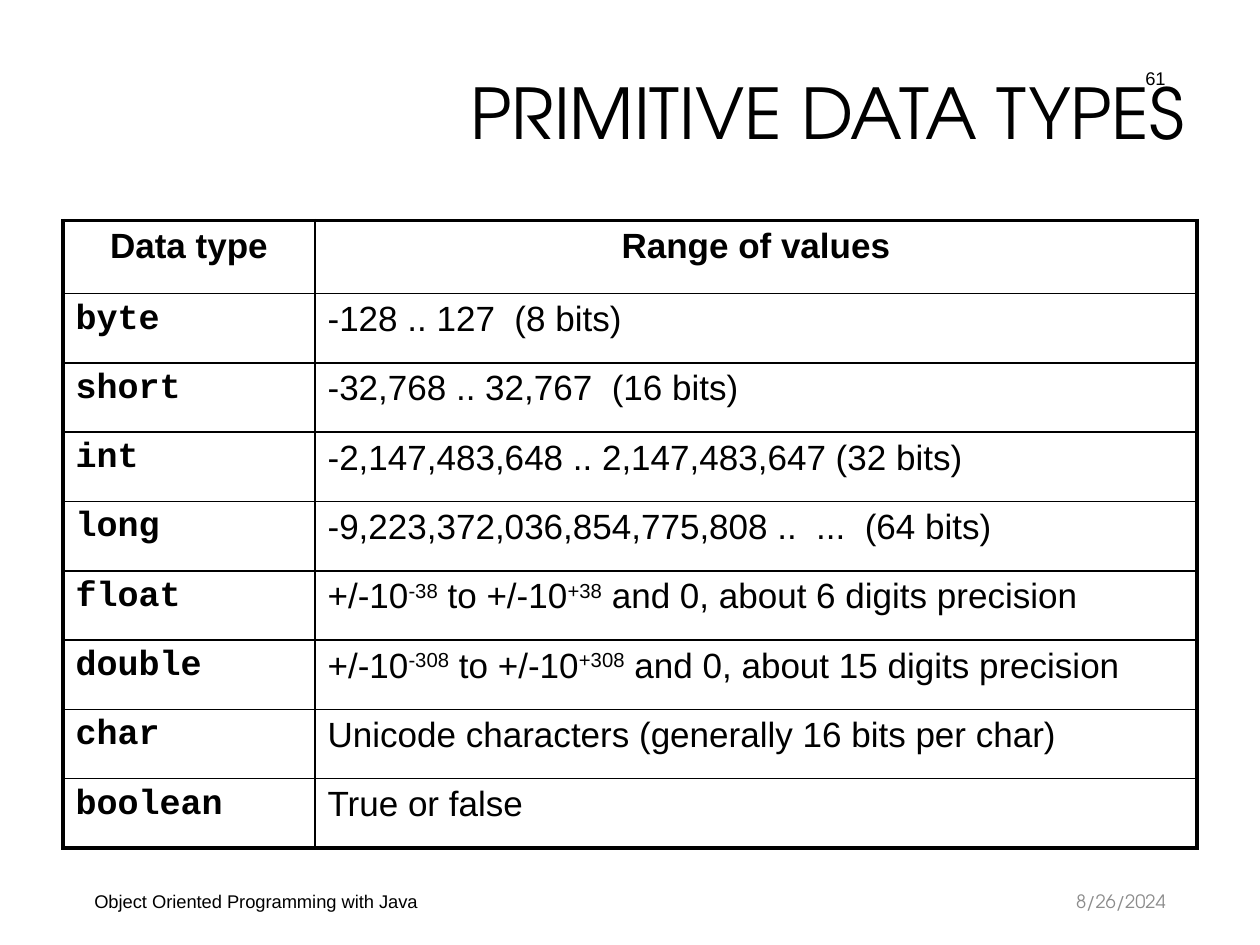
from dataclasses import dataclass

from lxml.etree import SubElement
from pptx import Presentation
from pptx.dml.color import RGBColor
from pptx.enum.text import MSO_ANCHOR as Anchor, MSO_AUTO_SIZE as AutoSize, PP_ALIGN as Align
from pptx.oxml.ns import qn
from pptx.util import Inches, Pt

WIDTH, HEIGHT = Inches(10), Inches(7.5)
COLORS = {"ink": "000000", "muted": "8C8C8C"}
SANS, MONO, DISPLAY = "Arial", "Courier New", "TeX Gyre Adventor"
COLUMN_WIDTHS = (0.2, 0.7)  # shares of the slide width
HEADER_HEIGHT, ROW_HEIGHT = Inches(0.58), Inches(0.55)
OUTER_LINE, INNER_LINE = Pt(2.25), Pt(1)


@dataclass(frozen=True)
class Area:
    """A rectangle in shares of the slide's width and height."""
    left: float
    top: float
    width: float
    height: float

    def box(self) -> tuple[int, int, int, int]:
        return (round(self.left * WIDTH), round(self.top * HEIGHT),
                round(self.width * WIDTH), round(self.height * HEIGHT))


@dataclass(frozen=True)
class Label:
    text: str
    area: Area
    align: Align = Align.RIGHT
    font: str = SANS
    color: str = "ink"


@dataclass(frozen=True)
class DataType:
    name: str
    values: str  # text between carets is superscript


DATA_TYPES = (
    DataType("byte", "-128 .. 127  (8 bits)"),
    DataType("short", "-32,768 .. 32,767  (16 bits)"),
    DataType("int", "-2,147,483,648 .. 2,147,483,647 (32 bits)"),
    DataType("long", "-9,223,372,036,854,775,808 ..  ...  (64 bits)"),
    DataType("float", "+/-10^-38^ to +/-10^+38^ and 0, about 6 digits precision"),
    DataType("double", "+/-10^-308^ to +/-10^+308^ and 0, about 15 digits precision"),
    DataType("char", "Unicode characters (generally 16 bits per char)"),
    DataType("boolean", "True or false"),
)
LABELS = (
    Label("Object Oriented Programming with Java", Area(0.065, 0.927, 0.621, 0.053), Align.LEFT),
    Label("61", Area(0.719, 0.056, 0.216, 0.053)),
    Label("8/26/2024", Area(0.701, 0.927, 0.234, 0.053), font=DISPLAY, color="muted"),
)


def write(frame, text: str, *, size: float, font: str = SANS, color: str = "ink",
          bold: bool = False, align: Align = Align.LEFT, spacing: float = 1.0) -> None:
    """Fill a text frame, raising the parts between carets."""
    paragraph = frame.paragraphs[0]
    paragraph.alignment = align
    paragraph.line_spacing = spacing
    for index, part in enumerate(text.split("^")):
        run = paragraph.add_run()
        run.text = part
        run.font.size, run.font.name, run.font.bold = Pt(size), font, bold
        run.font.color.rgb = RGBColor.from_string(COLORS[color])
        if index % 2:
            run.font._element.set("baseline", "30000")


def set_borders(cell, widths: dict[str, int]) -> None:
    properties = cell._tc.get_or_add_tcPr()
    for position, (side, width) in enumerate(widths.items()):
        line = SubElement(properties, qn(f"a:ln{side}"), w=str(int(width)))
        fill = SubElement(line, qn("a:solidFill"))
        SubElement(fill, qn("a:srgbClr"), val=COLORS["ink"])
        properties.insert(position, line)


def add_type_table(slide) -> None:
    rows = [("Data type", "Range of values")] + [(item.name, item.values) for item in DATA_TYPES]
    last_row, last_column = len(rows) - 1, len(COLUMN_WIDTHS) - 1
    height = HEADER_HEIGHT + last_row * ROW_HEIGHT
    area = Area(0.05, 1.75 / 7.5, sum(COLUMN_WIDTHS), height / HEIGHT)
    table = slide.shapes.add_table(len(rows), len(COLUMN_WIDTHS), *area.box()).table
    table.first_row = table.horz_banding = False
    for column, share in zip(table.columns, COLUMN_WIDTHS):
        column.width = round(share * WIDTH)
    for i, texts in enumerate(rows):
        header = i == 0
        table.rows[i].height = HEADER_HEIGHT if header else ROW_HEIGHT
        for j, text in enumerate(texts):
            cell = table.cell(i, j)
            cell.fill.background()
            edges = {"L": j == 0, "R": j == last_column, "T": header, "B": i == last_row}
            set_borders(cell, {side: OUTER_LINE if outer else INNER_LINE
                               for side, outer in edges.items()})
            write(cell.text_frame, text, size=20, bold=header or j == 0,
                  font=MONO if j == 0 and not header else SANS,
                  align=Align.CENTER if header else Align.JUSTIFY)


def add_label(slide, label: Label) -> None:
    frame = slide.shapes.add_textbox(*label.area.box()).text_frame
    frame.word_wrap = True
    frame.vertical_anchor = Anchor.MIDDLE
    write(frame, label.text, size=10.5, font=label.font, color=label.color, align=label.align)


def add_title(slide, text: str) -> None:
    title = slide.shapes.title
    title.left, title.top, title.width, title.height = Area(0.05, 0.04, 0.9, 1 / 6).box()
    frame = title.text_frame
    frame.auto_size = AutoSize.NONE
    frame.vertical_anchor = Anchor.MIDDLE
    write(frame, text, size=40, font=DISPLAY, align=Align.RIGHT, spacing=0.9)


def main() -> None:
    presentation = Presentation()
    presentation.slide_width, presentation.slide_height = WIDTH, HEIGHT
    slide = presentation.slides.add_slide(presentation.slide_layouts.get_by_name("Title Only"))
    add_title(slide, "PRIMITIVE DATA TYPES")
    add_type_table(slide)
    for label in LABELS:
        add_label(slide, label)
    presentation.save("out.pptx")


if __name__ == "__main__":
    main()
